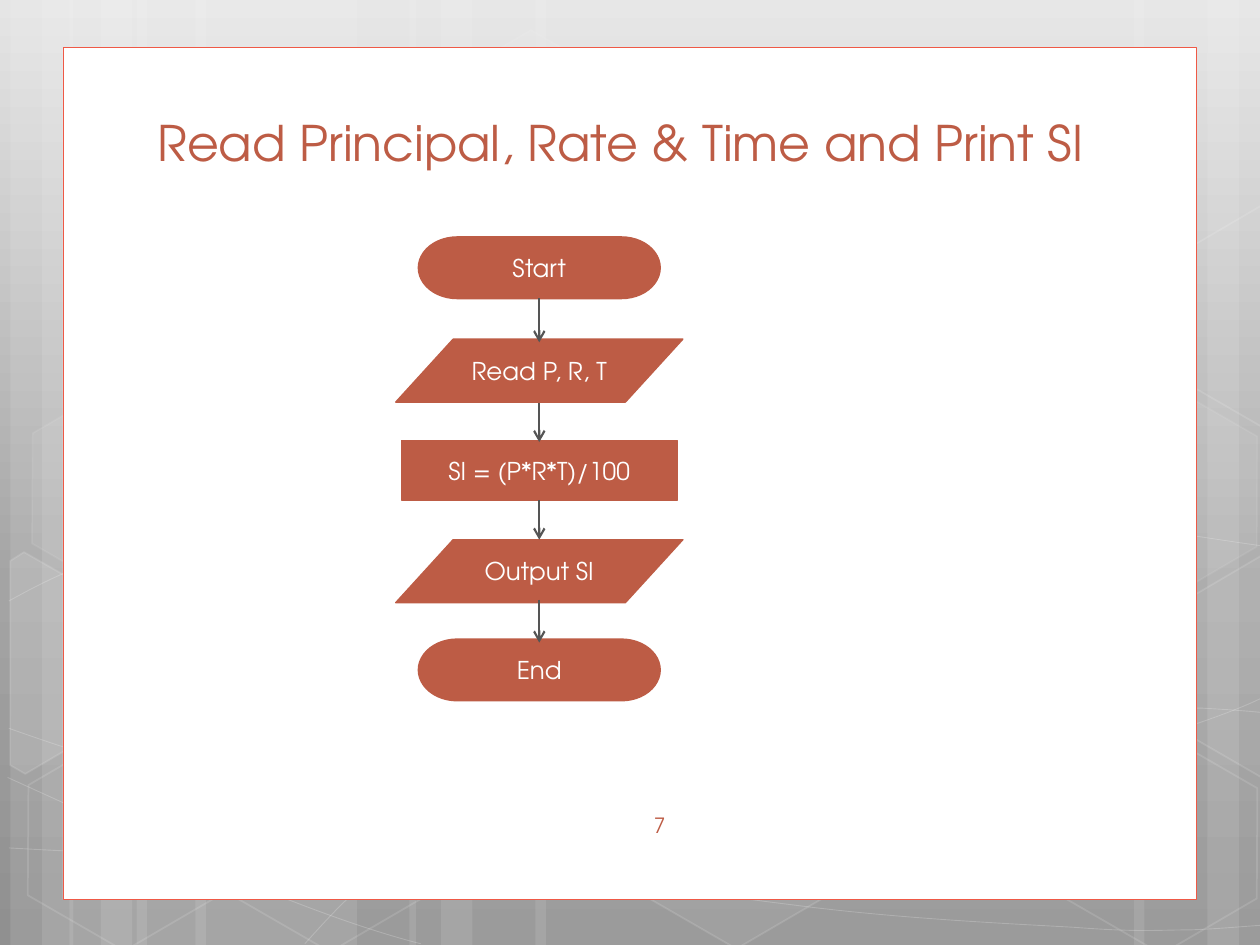
from copy import deepcopy
from math import cos, radians, sin

from lxml.etree import SubElement
from pptx import Presentation
from pptx.dml.color import RGBColor
from pptx.enum.shapes import MSO_CONNECTOR, MSO_SHAPE
from pptx.enum.text import MSO_ANCHOR, MSO_AUTO_SIZE, PP_ALIGN
from pptx.oxml.ns import qn
from pptx.util import Inches, Pt

# Content, with the grid row at the middle of each step
TITLE = "Read Principal, Rate & Time and Print SI"
PAGE_NUMBER = "7"
STEPS = [
    ("terminator", "Start", 25.5),
    ("data", "Read P, R, T", 35.3),
    ("process", "SI = (P*R*T)/100", 44.8),
    ("data", "Output SI", 54.4),
    ("terminator", "End", 63.8),
]
ARROWS = [(28.4, 32.6), (38.4, 42.1), (47.6, 51.4), (57.1, 61.2)]  # from row, to row

# Theme
THEME = {
    "font": "TeX Gyre Adventor",
    "accent": "BD5C45", "white": "FFFFFF", "arrow": "555555", "frame": "EF5946",
    "backdrop": [(0, "E5E5E5"), (0.62, "A4A4A4"), (1, "909090")],
    "title": 28, "step": 14, "number": 12,
}

# Grid: 120 columns by 90 rows, twelve to the inch
COLUMNS, ROWS = 120, 90
PANEL = (6, 4.56, 108, 81.1)
TITLE_AREA = (13.8, 9.52, 94.2, 7.44)
NUMBER_AREA = (61.1, 76.8, 47, 4.8)
FLOW_AXIS = 51.36
STEP_KINDS = {  # preset, columns, rows
    "terminator": (MSO_SHAPE.FLOWCHART_TERMINATOR, 23.04, 5.88),
    "data": (MSO_SHAPE.FLOWCHART_DATA, 27.36, 6),
    "process": (MSO_SHAPE.FLOWCHART_PROCESS, 26.28, 5.64),
}

# Backdrop: strips are (column, columns); hexagons (column, row, fill %, line %)
STRIPS = [(13, 21), (1, 6), (4, 10), (18.6, 21), (6.6, 6), (9.6, 10),
          (88, 21), (115, 6), (108, 10), (51, 37), (39, 6), (42, 10)]
TILT = 30
HEXAGON_SIZE = (21, 18.24)
HEXAGONS = [(40.1, 4.3, 4, 8), (59.6, 70.7, 6, 12), (1.3, 70.9, 0, 12),
            (1.7, 37.4, 7, 8), (20.9, 71, 0, 12), (90.4, 54.4, 10, 12),
            (100.1, 71.2, 0, 12), (100.1, 37.7, 7, 8)]
# Cut hexagons: fill %, centre and corners in inches
CUT_HEXAGONS = [
    (10, (0.36, 5.35), [(0.08, 4.45), (0.19, 4.38), (0.96, 4.82), (0.95, 5.7),
                        (0.2, 6.14), (0.08, 6.07)]),
    (4, (9.85, 5.2), [(9.26, 4.85), (10.01, 4.41), (10.09, 4.46), (10.09, 6.13),
                      (10.02, 6.17), (9.26, 5.73)]),
    (0, (9.85, 2.41), [(9.26, 2.07), (10.01, 1.63), (10.1, 1.68), (10.09, 3.35),
                       (10.02, 3.39), (9.26, 2.95)]),
]
# Waves: chained cubic curves in inches, each with two handles and an end
WAVES = [
    [(0.07, 6.73), (0.61, 6.76), (1.15, 6.79), (1.9, 6.78), (2.65, 6.77), (3.58, 6.75),
     (4.58, 6.65), (5.58, 6.55), (7, 6.36), (7.92, 6.17), (8.83, 5.98), (9.77, 5.68),
     (10.07, 5.51)],
    [(0.07, 4.77), (0.36, 4.61), (0.65, 4.46), (1.21, 4.31), (1.78, 4.16), (2.59, 3.94),
     (3.47, 3.87), (4.36, 3.8), (5.44, 3.79), (6.54, 3.87), (7.64, 3.95), (9.47, 4.26),
     (10.07, 4.34)],
    [(0.06, 6.17), (1.27, 6.72), (2.47, 7.27), (3.34, 7.49)],
    [(0.07, 5.78), (0.38, 5.89), (0.7, 6), (1.28, 6.16), (1.86, 6.31), (2.73, 6.56),
     (3.57, 6.73), (4.4, 6.9), (5.45, 7.08), (6.28, 7.18), (7.11, 7.29), (8, 7.33),
     (8.53, 7.36), (9.05, 7.4), (9.19, 7.38), (9.45, 7.38), (9.71, 7.37), (9.89, 7.35),
     (10.07, 7.34)],
    [(2.42, 7.49), (2.6, 7.29), (2.78, 7.09), (3.02, 6.91), (3.26, 6.73), (3.6, 6.53),
     (3.88, 6.39), (4.16, 6.25), (4.33, 6.19), (4.7, 6.09), (5.06, 5.99), (5.73, 5.85),
     (6.08, 5.78), (6.44, 5.71), (6.49, 5.71), (6.8, 5.69), (7.11, 5.66), (7.6, 5.63),
     (7.94, 5.62), (8.29, 5.61), (8.86, 5.62), (8.86, 5.62), (9.08, 5.62), (9.31, 5.62),
     (9.53, 5.62), (9.71, 5.63), (9.88, 5.64), (10.06, 5.66)],
]


def grid(*cells):
    return [Inches(cell / 12) for cell in cells]


def apply(target, formats):
    for name, value in formats.items():
        setattr(target, name, value)


def paint(fill, color, percent=100):
    if not percent:
        fill.background()
        return
    fill.solid()
    fill.fore_color.rgb = RGBColor.from_string(color)
    if percent < 100:
        solid = fill._xPr.find(qn("a:solidFill") + "/" + qn("a:srgbClr"))
        SubElement(solid, qn("a:alpha"), val=str(percent * 1000))


def style(shape, color, fill_percent, line_color, line_percent, width):
    shape.shadow.inherit = False
    paint(shape.fill, color, fill_percent)
    paint(shape.line.fill, line_color, line_percent)
    if line_percent:
        shape.line.width = Pt(width)


def write(shape, wording, size, color, align, anchor):
    apply(shape.text_frame, {"text": wording, "word_wrap": True, "vertical_anchor": anchor,
                             "auto_size": MSO_AUTO_SIZE.NONE})
    paragraph = shape.text_frame.paragraphs[0]
    paragraph.alignment = align
    apply(paragraph.runs[0].font, {"name": THEME["font"], "size": Pt(THEME[size])})
    paragraph.runs[0].font.color.rgb = RGBColor.from_string(THEME[color])


def outline(shapes, points, close):
    corners = [(Inches(x), Inches(y)) for x, y in points]
    builder = shapes.build_freeform(*corners[0], scale=1.0)
    builder.add_line_segments(corners[1:], close=close)
    return builder.convert_to_shape()


def add_wave(shapes, knots):
    """Turn every three line segments into one cubic curve."""
    wave = outline(shapes, knots, False)
    segments = list(wave.element.iter(qn("a:lnTo")))
    track = segments[0].getparent()
    for start in range(0, len(segments), 3):
        curve = SubElement(track, qn("a:cubicBezTo"))
        for segment in segments[start:start + 3]:
            curve.append(segment[0])
            track.remove(segment)
    return wave


def untilt(point, centre):
    x, y = point[0] - centre[0], point[1] - centre[1]
    c, s = cos(radians(TILT)), sin(radians(TILT))
    return centre[0] + x * c + y * s, centre[1] - x * s + y * c


def draw_backdrop(slide):
    shapes, white = slide.shapes, THEME["white"]
    gradient = slide.background.fill
    gradient.gradient()
    gradient.gradient_angle = 270
    first = next(slide.element.iter(qn("a:gs")))
    first.addnext(deepcopy(first))
    for stop, (position, color) in zip(gradient.gradient_stops, THEME["backdrop"]):
        stop.position = position
        stop.color.rgb = RGBColor.from_string(color)

    for column, width in STRIPS:
        strip = shapes.add_shape(MSO_SHAPE.RECTANGLE, *grid(column, 0, width, ROWS))
        style(strip, white, 10, white, 0, 0)
    for knots in WAVES:
        style(add_wave(shapes, knots), white, 0, white, 20, 0.5)
    for column, row, fill_percent, line_percent in HEXAGONS:
        hexagon = shapes.add_shape(MSO_SHAPE.HEXAGON, *grid(column, row, *HEXAGON_SIZE))
        hexagon.rotation = TILT
        hexagon.adjustments[0] = 0.285
        style(hexagon, white, fill_percent, white, line_percent, 1)
    for fill_percent, centre, corners in CUT_HEXAGONS:
        cut = outline(shapes, [untilt(corner, centre) for corner in corners], True)
        cut.rotation = TILT
        style(cut, white, fill_percent, white, 12, 1)
    panel = shapes.add_shape(MSO_SHAPE.RECTANGLE, *grid(*PANEL))
    style(panel, white, 100, THEME["frame"], 100, 0.5)


def draw_flowchart(shapes):
    for kind, wording, middle in STEPS:
        preset, width, height = STEP_KINDS[kind]
        step = shapes.add_shape(preset, *grid(FLOW_AXIS - width / 2, middle - height / 2,
                                              width, height))
        style(step, THEME["accent"], 100, THEME["accent"], 100, 0)
        write(step, wording, "step", "white", PP_ALIGN.CENTER, MSO_ANCHOR.MIDDLE)

    for start, end in ARROWS:
        arrow = shapes.add_connector(MSO_CONNECTOR.STRAIGHT,
                                     *grid(FLOW_AXIS, start, FLOW_AXIS, end))
        paint(arrow.line.fill, THEME["arrow"])
        arrow.line.width = Pt(1.25)
        SubElement(arrow.line._get_or_add_ln(), qn("a:tailEnd"), type="arrow")
        SubElement(arrow.element.spPr, qn("a:effectLst"))


def main():
    deck = Presentation()
    deck.slide_width, deck.slide_height = grid(COLUMNS, ROWS)
    slide = deck.slides.add_slide(deck.slide_layouts[5])
    draw_backdrop(slide)

    # Title, brought in front of the panel
    title = slide.shapes.title
    title.element.getparent().append(title.element)
    apply(title, dict(zip(("left", "top", "width", "height"), grid(*TITLE_AREA))))
    write(title, TITLE, "title", "accent", PP_ALIGN.LEFT, MSO_ANCHOR.BOTTOM)

    # Page number
    number = slide.shapes.add_textbox(*grid(*NUMBER_AREA))
    write(number, PAGE_NUMBER, "number", "accent", PP_ALIGN.LEFT, MSO_ANCHOR.TOP)

    draw_flowchart(slide.shapes)
    deck.save("out.pptx")


if __name__ == "__main__":
    main()
